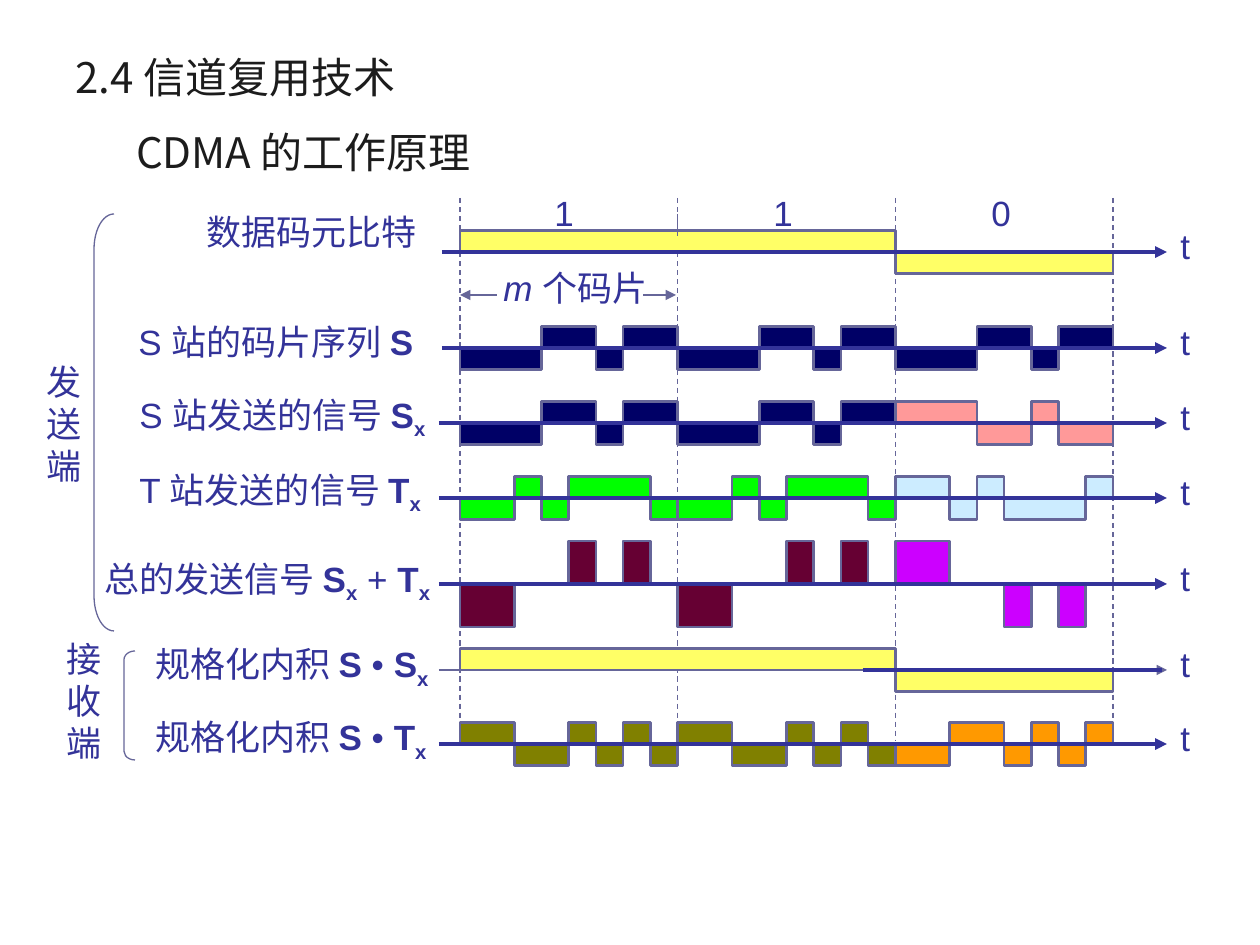
import pptx
import pptx.dml.color
import pptx.enum.dml
import pptx.enum.shapes
import pptx.enum.text
import pptx.oxml.ns
import pptx.util
from lxml import etree

SCALE = 914400 / 126
INK, OUTLINE, TITLE_INK = "333399", "666699", "1C1C1C"
YELLOW = "FFFF66"
BITS = [1, 1, 0]
S_CHIPS = [-1, -1, -1, 1, 1, -1, 1, 1]
T_CHIPS = [-1, -1, 1, -1, 1, 1, 1, -1]
BIT_START, ALL_BITS_WIDTH = 460, 653
CHIP = ALL_BITS_WIDTH / len(BITS) / len(S_CHIPS)
UNIT = 43 / 2
AXIS_END = 1167


def send(chips):
    """Send the chips for bit 1 and their complement for bit 0."""
    return [[chip if bit else -chip for chip in chips] for bit in BITS]


sum_chips = [s + t for s, t in zip(S_CHIPS, T_CHIPS)]
product_chips = [s * t for s, t in zip(S_CHIPS, T_CHIPS)]
data_levels = [sum(send([1] * 8), [])]

# axis y, axis start, label box (left, top, width), label runs, waves, wave colours
SIGNALS = [
    (252, 442, (194, 204, 248), [("数据码元比特", "")], data_levels, [YELLOW]),
    (348, 442, (126, 321, 332), [("S 站的码片序列 ", ""), ("S", "b")],
     [S_CHIPS] * 3, ["000066"] * 3),
    (423, 439, (127, 387, 340), [("S 站发送的信号 ", ""), ("S", "b"), ("x", "b_")],
     send(S_CHIPS), ["000066", "000066", "FF9999"]),
    (498, 439, (127, 462, 340), [("T 站发送的信号 ", ""), ("T", "b"), ("x", "b_")],
     send(T_CHIPS), ["00FF00", "00FF00", "CCECFF"]),
    (584, 439, (92, 551, 376),
     [("总的发送信号 ", ""), ("S", "b"), ("x", "b_"), (" + ", ""), ("T", "b"), ("x", "b_")],
     send(sum_chips), ["660033", "660033", "CC00FF"]),
    (670, 439, (143, 636, 324),
     [("规格化内积 ", ""), ("S ", "b"), ("• ", ""), ("S", "b"), ("x", "b_")],
     data_levels, [YELLOW]),
    (744, 439, (143, 709, 324),
     [("规格化内积 ", ""), ("S ", "b"), ("• ", ""), ("T", "b"), ("x", "b_")],
     send(product_chips), ["808000", "808000", "FF9900"]),
]
CHIP_SEQUENCE_ROW, INNER_PRODUCT_ROW = 1, 5
BIT_LABEL_LEFTS = [542, 761, 979]
BIT_GUIDE_BOTTOMS = [722, 719, 740, 721]
# side text, text left and top, bracket box, bracket corner ratio
ENDS = [
    ("发送端", 34, 354, (94, 214, 20, 417), 1.75),
    ("接收端", 54, 631, (124, 651, 11, 109), 0.8),
]

deck = pptx.Presentation()
deck.slide_width, deck.slide_height = pptx.util.Inches(10), pptx.util.Inches(7.5)
slide = deck.slides.add_slide(deck.slide_layouts[6])


def emu(*lengths):
    return [round(length * SCALE) for length in lengths]


def color(code):
    return pptx.dml.color.RGBColor.from_string(code)


def add_text(paragraphs, box, size=20, font="Arial", ink=INK, wrap=False,
             align="LEFT", anchor="TOP", spacing=None):
    """Each paragraph is a list of (text, style); style holds b, i or _ (subscript)."""
    frame = slide.shapes.add_textbox(*emu(*box)).text_frame
    frame.word_wrap = wrap
    frame.vertical_anchor = getattr(pptx.enum.text.MSO_ANCHOR, anchor)
    for index, runs in enumerate(paragraphs):
        paragraph = frame.add_paragraph() if index else frame.paragraphs[0]
        paragraph.alignment = getattr(pptx.enum.text.PP_ALIGN, align)
        if spacing:
            paragraph.line_spacing = spacing
        for text, style in runs:
            run = paragraph.add_run()
            run.text = text
            run.font.size = pptx.util.Pt(size)
            run.font.name = font
            run.font.bold = "b" in style
            run.font.italic = "i" in style
            run.font.color.rgb = color(ink)
            if "_" in style:
                run.font._element.set("baseline", "-25000")
            if font != "Arial":
                etree.SubElement(run.font._element, pptx.oxml.ns.qn("a:ea"), typeface=font)


def add_line(x1, y1, x2, y2, ink=OUTLINE, width=0.75, dashed=False, arrows=()):
    line = slide.shapes.add_connector(
        pptx.enum.shapes.MSO_CONNECTOR.STRAIGHT, *emu(x1, y1, x2, y2))
    line.line.color.rgb = color(ink)
    line.line.width = pptx.util.Pt(width)
    if dashed:
        line.line.dash_style = pptx.enum.dml.MSO_LINE.DASH
    for end in arrows:
        etree.SubElement(line.line._get_or_add_ln(), pptx.oxml.ns.qn(f"a:{end}"), type="triangle")
    etree.SubElement(line._element.spPr, pptx.oxml.ns.qn("a:effectLst"))


def add_wave(left, axis, levels, fill):
    points = []
    for index, level in enumerate(levels):
        y = axis - level * UNIT
        points += [emu(left + index * CHIP, y), emu(left + (index + 1) * CHIP, y)]
    points.append(emu(left + len(levels) * CHIP, axis))
    builder = slide.shapes.build_freeform(*emu(left, axis), scale=1.0)
    builder.add_line_segments(points, close=False)
    wave = builder.convert_to_shape()
    wave.shadow.inherit = False
    wave.fill.solid()
    wave.fill.fore_color.rgb = color(fill)
    wave.line.color.rgb = color(OUTLINE)
    wave.line.width = pptx.util.Pt(1.5)


def add_bracket(box, corner):
    bracket = slide.shapes.add_shape(pptx.enum.shapes.MSO_SHAPE.LEFT_BRACKET, *emu(*box))
    bracket.adjustments[0] = corner
    bracket.shadow.inherit = False
    bracket.fill.background()
    bracket.line.color.rgb = color(OUTLINE)
    bracket.line.width = pptx.util.Pt(0.75)


heading = dict(size=24, font="Noto Sans CJK SC", ink=TITLE_INK, wrap=True, anchor="MIDDLE")
add_text([[("2.4 信道复用技术", "")]], (63, 38, 1134, 77), **heading)
add_text([[("CDMA 的工作原理", "")]], (100, 106, 407, 92), align="CENTER", **heading)

for index, bottom in enumerate(BIT_GUIDE_BOTTOMS):
    x = BIT_START + index * 8 * CHIP
    add_line(x, 198, x, bottom, dashed=True)
first_bit_end = BIT_START + 8 * CHIP

for row, (axis, axis_start, label_box, label, waves, fills) in enumerate(SIGNALS):
    for index, (levels, fill) in enumerate(zip(waves, fills)):
        add_wave(BIT_START + index * 8 * CHIP, axis, levels, fill)
    if row == INNER_PRODUCT_ROW:
        add_line(axis_start, axis, AXIS_END, axis, arrows=["tailEnd"])
        add_line(863, axis, 1162, axis, INK, 2.25)
    else:
        add_line(axis_start, axis, AXIS_END, axis, INK, 2.25, arrows=["tailEnd"])
    left, top, width = label_box
    add_text([label], (left, top, width, 58),
             spacing=0.85 if row == CHIP_SEQUENCE_ROW else None)
    add_text([[("t", "")]], (1168, axis - 34, 34, 55))

add_line(first_bit_end, 214, first_bit_end, 236)
for bit, left in zip(BITS, BIT_LABEL_LEFTS):
    add_text([[(str(bit), "")]], (left, 185, 44, 55))

add_line(BIT_START, 295, 676, 295, arrows=["headEnd", "tailEnd"])
label_backing = slide.shapes.add_shape(
    pptx.enum.shapes.MSO_SHAPE.RECTANGLE, *emu(497, 273, 146, 38))
label_backing.shadow.inherit = False
label_backing.fill.solid()
label_backing.fill.fore_color.rgb = color("FFFFFF")
label_backing.line.fill.background()
add_text([[("m ", "i"), ("个码片", "")]], (491, 260, 190, 55))

for name, left, top, bracket_box, corner in ENDS:
    add_text([[(character, "")] for character in name], (left, top, 60, 139))
    add_bracket(bracket_box, corner)

deck.save("out.pptx")
